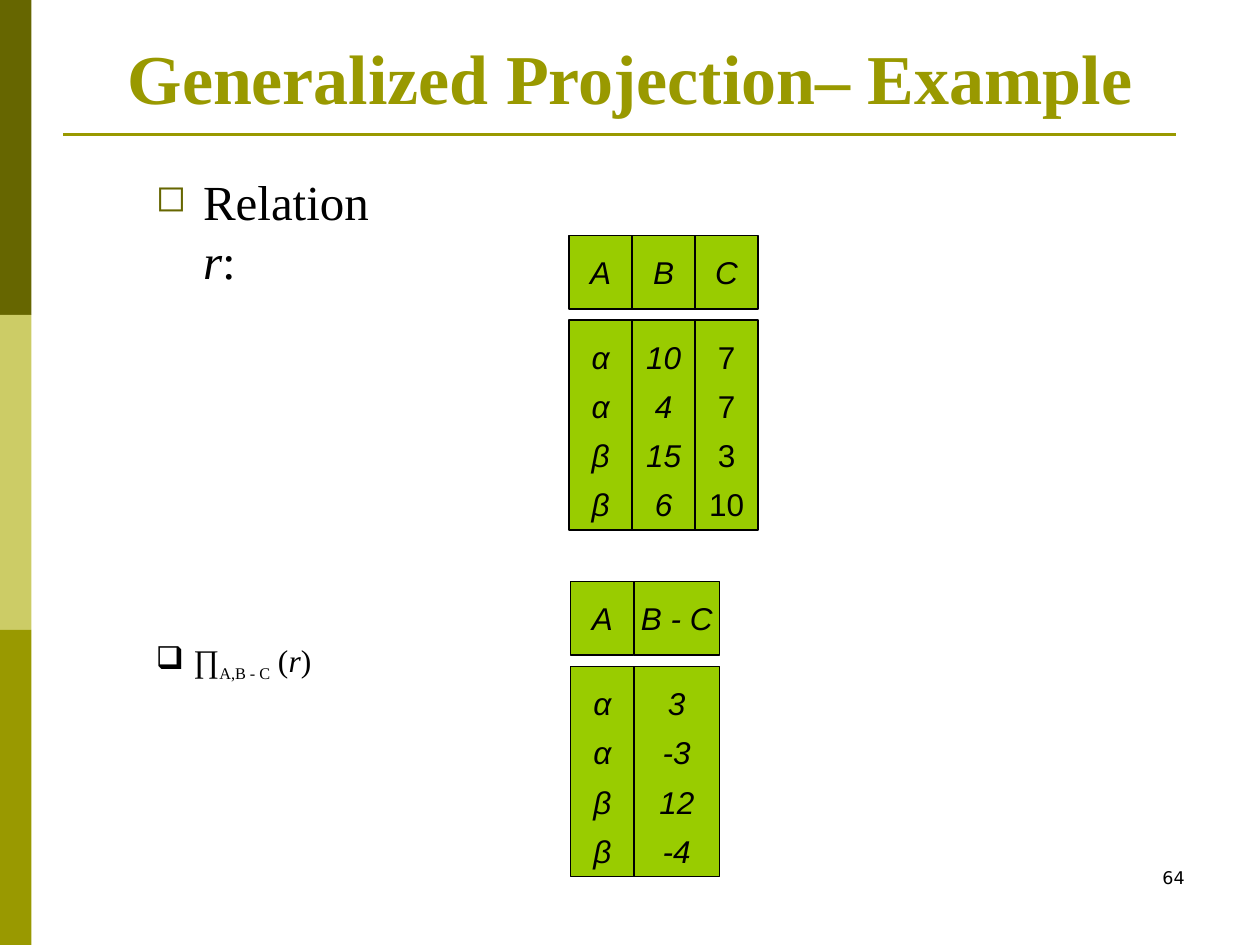
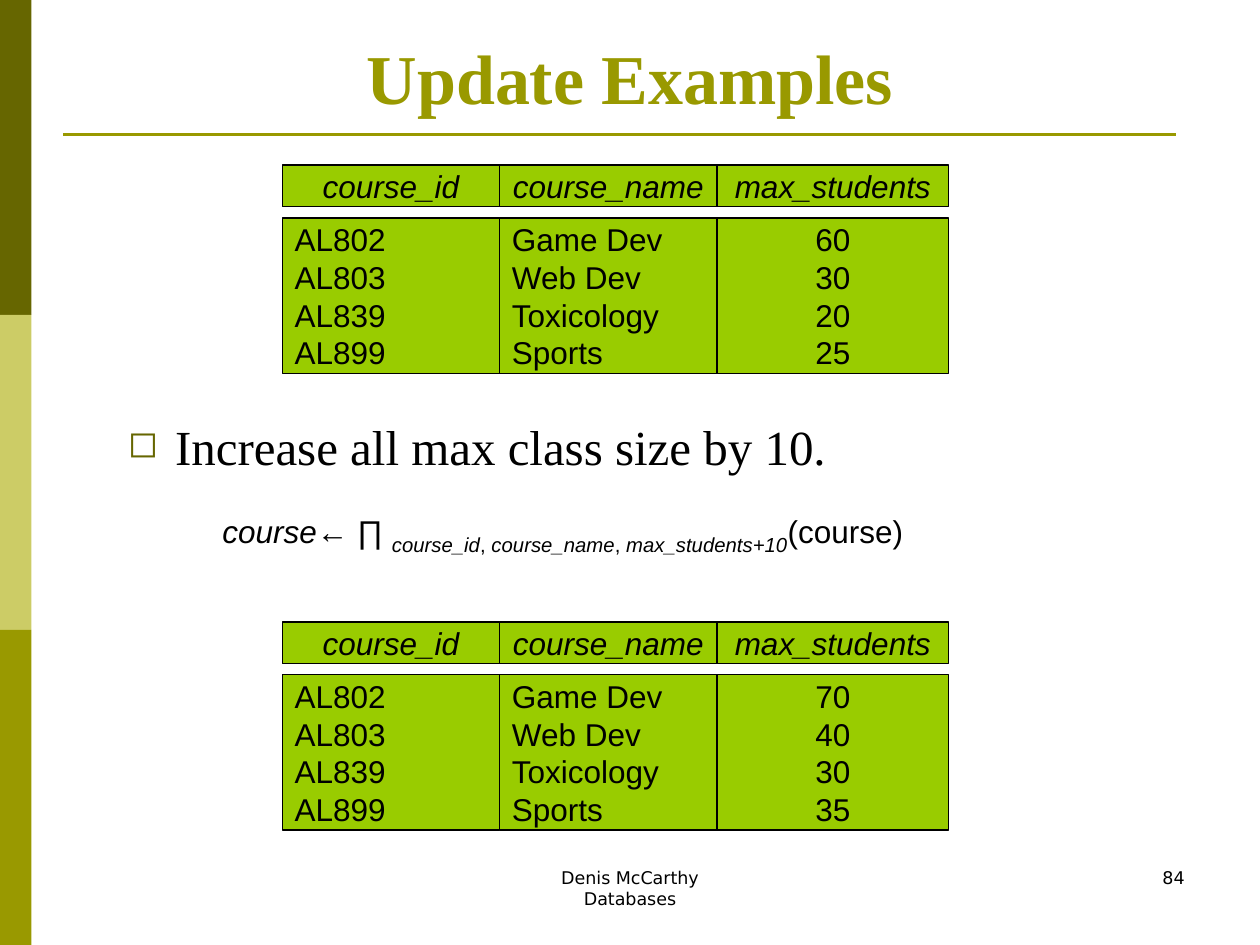
from collections import namedtuple

from lxml import etree
from pptx import Presentation
from pptx.dml.color import RGBColor
from pptx.enum.shapes import MSO_CONNECTOR, MSO_SHAPE
from pptx.enum.text import MSO_ANCHOR, PP_ALIGN
from pptx.oxml.ns import qn
from pptx.util import Pt

RECTANGLE = MSO_SHAPE.RECTANGLE
STRAIGHT = MSO_CONNECTOR.STRAIGHT
LEFT, CENTER, RIGHT = PP_ALIGN.LEFT, PP_ALIGN.CENTER, PP_ALIGN.RIGHT
MIDDLE, BOTTOM = MSO_ANCHOR.MIDDLE, MSO_ANCHOR.BOTTOM

SERIF, SANS, FOOTER_FONT = "Times New Roman", "Arial", "DejaVu Sans"
BLACK, DARK_OLIVE, OLIVE, PALE_OLIVE = "000000", "666600", "999900", "CCCC66"
CELL_GREEN = "99CC00"
SLIDE_WIDTH, SLIDE_HEIGHT = 720, 540
BAND_WIDTH, BAND_HEIGHT = 18, SLIDE_HEIGHT / 3
HEADER_GAP = 6.3

Part = namedtuple("Part", "text size italic subscript", defaults=(18, False, False))
Column = namedtuple("Column", "heading values width align italic", defaults=(CENTER, True))


def color(value):
    """Turn a hex string into a colour."""
    return RGBColor.from_string(value)


def place(shape, left, top, width, height):
    """Move and size a shape in points."""
    shape.left, shape.top = Pt(left), Pt(top)
    shape.width, shape.height = Pt(width), Pt(height)


def style(font, name, size, ink=BLACK, italic=False, bold=False):
    """Set the face, size and colour of a font."""
    font.name, font.size = name, Pt(size)
    font.italic, font.bold = italic, bold
    font.color.rgb = color(ink)


def write_lines(frame, lines, align, face, size, italic=False, spacing=None):
    """Write one uniformly styled paragraph per line."""
    frame.text = "\n".join(lines)
    for paragraph in frame.paragraphs:
        paragraph.alignment = align
        paragraph.line_spacing = spacing
        for run in paragraph.runs:
            style(run.font, face, size, italic=italic)


def add_rectangle(slide, left, top, width, height, fill, outline=None):
    """Add a flat rectangle."""
    box = slide.shapes.add_shape(RECTANGLE, Pt(left), Pt(top), Pt(width), Pt(height))
    box.shadow.inherit = False
    box.fill.solid()
    box.fill.fore_color.rgb = color(fill)
    if outline:
        box.line.color.rgb = color(outline)
        box.line.width = Pt(0.75)
    else:
        box.line.fill.background()
    return box


def add_text_frame(slide, left, top, width, height):
    """Add a wrapping text box and return its frame."""
    frame = slide.shapes.add_textbox(Pt(left), Pt(top), Pt(width), Pt(height)).text_frame
    frame.word_wrap = True
    return frame


def set_bullet(paragraph, mark, indent, ink=None, percent=None):
    """Give a paragraph a hanging bullet."""
    properties = paragraph._p.get_or_add_pPr()
    properties.set("marL", str(Pt(indent)))
    properties.set("indent", str(-Pt(indent)))
    if ink:
        holder = etree.SubElement(properties, qn("a:buClr"))
        etree.SubElement(holder, qn("a:srgbClr")).set("val", ink)
    if percent:
        etree.SubElement(properties, qn("a:buSzPct")).set("val", str(percent * 1000))
    etree.SubElement(properties, qn("a:buChar")).set("char", mark)


def write_parts(paragraph, parts, face):
    """Write runs that differ in size, slant or baseline."""
    for part in parts:
        run = paragraph.add_run()
        run.text = part.text
        style(run.font, face, part.size, italic=part.italic)
        if part.subscript:
            run._r.get_or_add_rPr().set("baseline", "-25000")


def add_point(slide, left, top, width, height, parts):
    """Add a main bullet point with a square mark."""
    paragraph = add_text_frame(slide, left, top, width, height).paragraphs[0]
    set_bullet(paragraph, "◻", 27, DARK_OLIVE, 75)
    write_parts(paragraph, parts, SERIF)


def add_cell(slide, left, top, width, height, lines, align=CENTER, italic=True, spacing=None):
    """Add one green block of a relation."""
    cell = add_rectangle(slide, left, top, width, height, CELL_GREEN, BLACK)
    frame = cell.text_frame
    frame.vertical_anchor = MIDDLE
    frame.word_wrap = align == LEFT
    write_lines(frame, lines, align, SANS, 18, italic, spacing)


def add_relation(slide, left, top, heading_height, body_height, columns, spacing=None):
    """Draw a relation as headings above separate value columns."""
    body_top = top + heading_height + HEADER_GAP
    for column in columns:
        add_cell(slide, left, top, column.width, heading_height, [column.heading])
        add_cell(slide, left, body_top, column.width, body_height, column.values,
                 column.align, column.italic, spacing)
        left += column.width


def add_footer(slide, left, width, lines, align):
    """Add small text at the foot of the slide."""
    frame = add_text_frame(slide, left, 492, width, 36)
    write_lines(frame, lines, align, FOOTER_FONT, 10)


def start_slide(deck, heading, number):
    """Add a slide with side bands, title, rule and page number."""
    slide = deck.slides.add_slide(deck.slide_layouts[5])
    for row, fill in enumerate((DARK_OLIVE, PALE_OLIVE, OLIVE)):
        add_rectangle(slide, 0, row * BAND_HEIGHT, BAND_WIDTH, BAND_HEIGHT, fill)

    rule = slide.shapes.add_connector(STRAIGHT, Pt(36), Pt(77), Pt(672), Pt(77))
    rule.line.color.rgb = color(OLIVE)
    rule.line.width = Pt(1.5)
    etree.SubElement(rule._element.spPr, qn("a:effectLst"))

    title = slide.shapes.title
    place(title, 36, 21.6, 648, 49.7)
    title.text_frame.text = heading
    title.text_frame.vertical_anchor = BOTTOM
    paragraph = title.text_frame.paragraphs[0]
    paragraph.alignment = CENTER
    style(paragraph.runs[0].font, SERIF, 40, OLIVE, bold=True)

    add_footer(slide, 516, 168, [str(number)], RIGHT)
    return slide


def add_projection_slide(deck):
    """Build the generalized projection example."""
    slide = start_slide(deck, "Generalized Projection– Example", 64)
    add_point(slide, 82, 94.3, 139, 46.8,
              [Part("Relation ", 28), Part("r", 28, True), Part(":", 28)])

    greek = Column("A", "ααββ", 36)
    source = [greek, Column("B", ["10", "4", "15", "6"], 36),
              Column("C", ["7", "7", "3", "10"], 36, italic=False)]
    result = [greek, Column("B - C", ["3", "-3", "12", "-4"], 49)]
    add_relation(slide, 325.2, 134.6, 42, 120, source, 1.3)
    add_relation(slide, 326.2, 332.4, 42, 120, result, 1.3)

    projection = add_text_frame(slide, 82, 363, 158.4, 44).paragraphs[0]
    set_bullet(projection, "❑", 21.5)
    write_parts(projection, [Part("∏"), Part("A,B - C", 16, subscript=True),
                             Part(" ("), Part("r", italic=True), Part(")")], SERIF)


def add_update_slide(deck):
    """Build the update example with the relation before and after."""
    slide = start_slide(deck, "Update Examples", 84)
    add_footer(slide, 246, 228, ["Denis McCarthy", "Databases"], CENTER)

    ids = ["AL802", "AL803", "AL839", "AL899"]
    names = ["Game Dev", "Web Dev", "Toxicology", "Sports"]
    sizes = [60, 30, 20, 25]
    for top, increase in ((94.4, 0), (355.4, 10)):
        limits = [str(size + increase) for size in sizes]
        columns = [Column("course_id", ids, 124.2, LEFT, False),
                   Column("course_name", names, 124.2, LEFT, False),
                   Column("max_students", limits, 132.5, CENTER, False)]
        add_relation(slide, 161.3, top, 23.8, 88.8, columns)

    add_point(slide, 66, 234.7, 642, 51, [Part("Increase all max class size by 10.", 28)])
    formula = add_text_frame(slide, 120, 287.3, 547, 29).paragraphs[0]
    write_parts(formula, [Part("course", italic=True), Part("← ∏ "),
                          Part("course_id", 20, True, True), Part(", ", 20, False, True),
                          Part("course_name", 20, True, True), Part(", ", 20, False, True),
                          Part("max_students+10", 20, True, True), Part("(course)")], SANS)


def main():
    """Build and save the deck."""
    deck = Presentation()
    deck.slide_width, deck.slide_height = Pt(SLIDE_WIDTH), Pt(SLIDE_HEIGHT)
    add_projection_slide(deck)
    add_update_slide(deck)
    deck.save("out.pptx")


if __name__ == "__main__":
    main()
